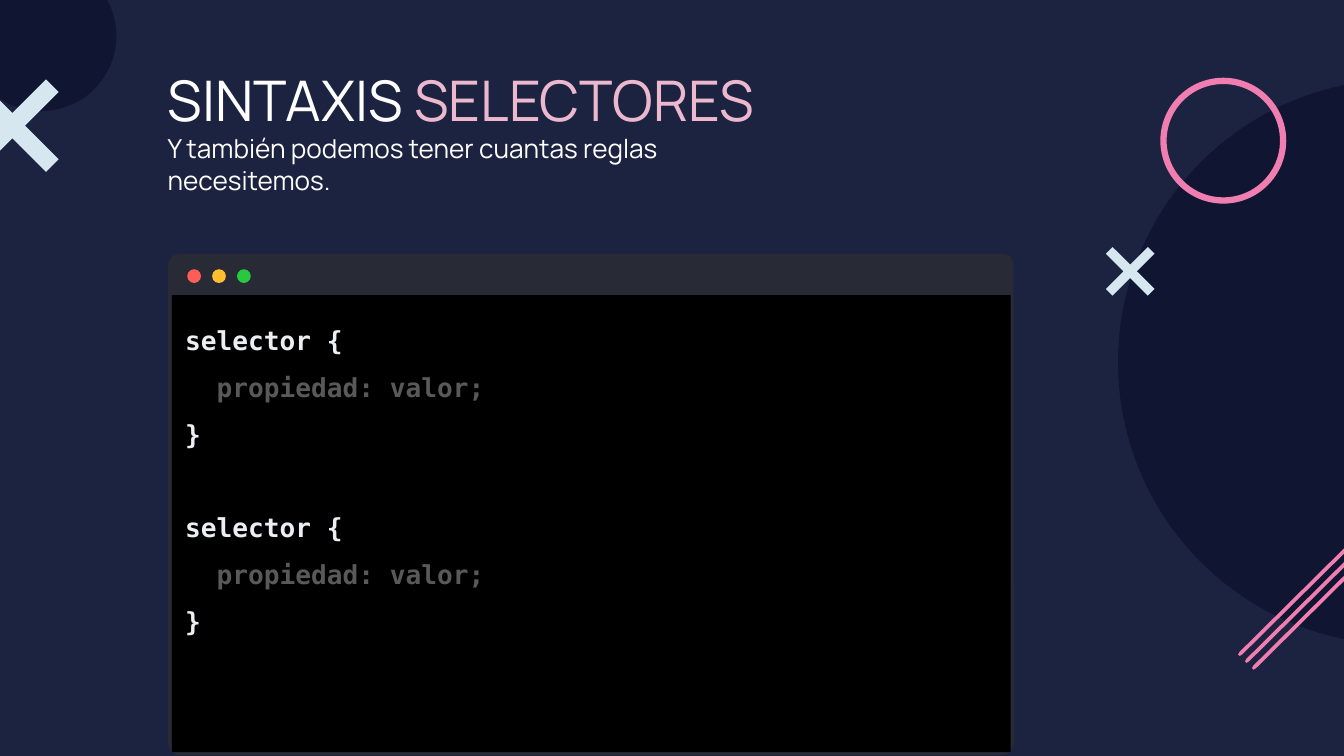
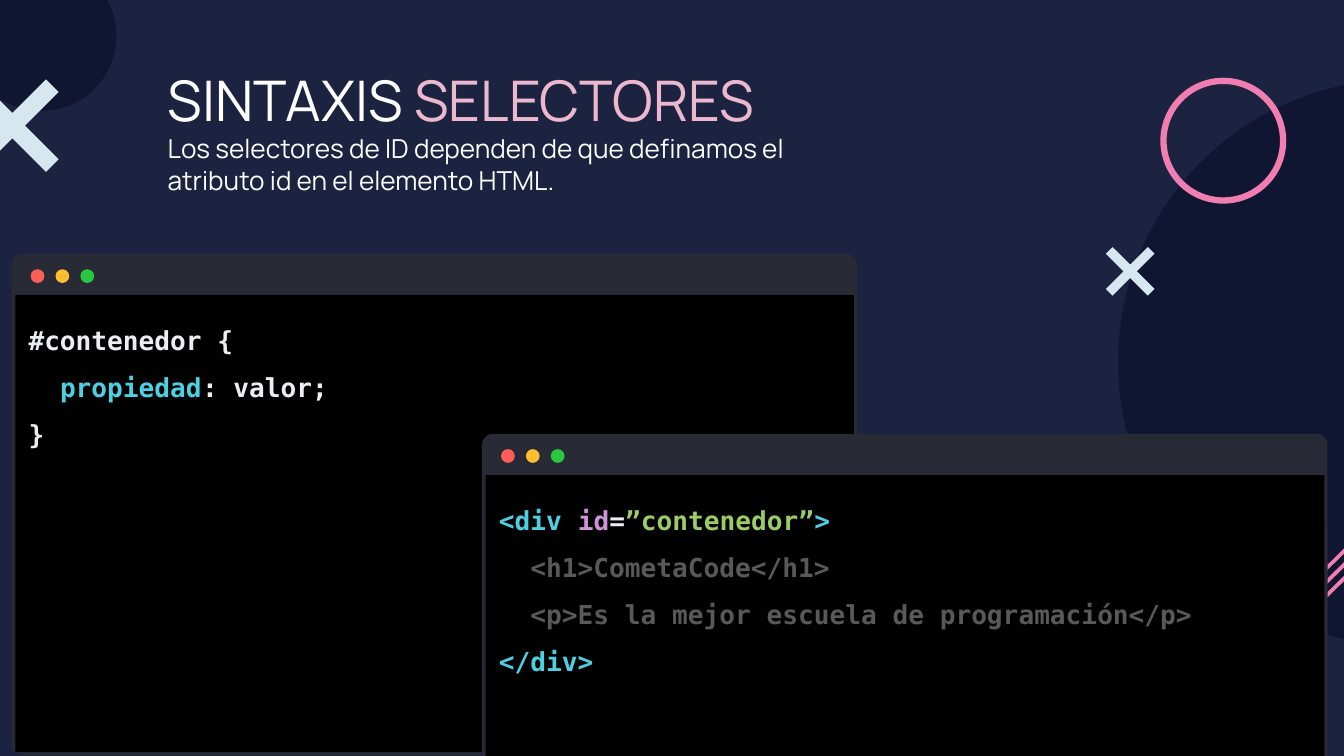
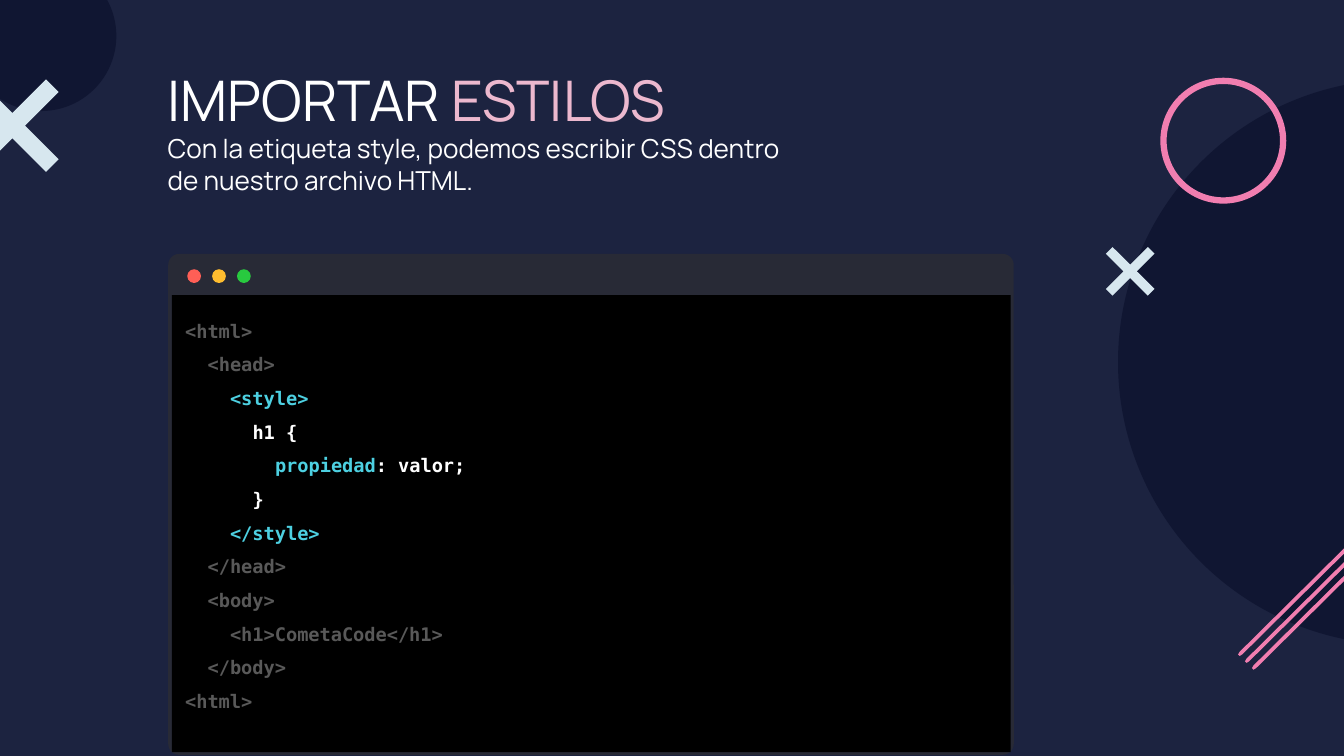
from dataclasses import dataclass

from pptx import Presentation
from pptx.dml.color import RGBColor
from pptx.enum.shapes import MSO_SHAPE as Preset
from pptx.enum.text import MSO_ANCHOR as Anchor, PP_ALIGN as Align
from pptx.util import Cm, Pt

NAVY = RGBColor(0x1C, 0x23, 0x40)
DEEP_NAVY = RGBColor(0x10, 0x16, 0x32)
ICE = RGBColor(0xD7, 0xE7, 0xEF)
PINK = RGBColor(0xF1, 0x7E, 0xB0)
ROSE = RGBColor(0xEC, 0xB8, 0xCE)
WHITE = RGBColor(0xFF, 0xFF, 0xFF)
BLACK = RGBColor(0x00, 0x00, 0x00)
FRAME = RGBColor(0x28, 0x2A, 0x36)
BUTTONS = (
    RGBColor(0xFF, 0x5F, 0x56),
    RGBColor(0xFF, 0xBD, 0x2F),
    RGBColor(0x28, 0xC9, 0x3F),
)
LIGHT = RGBColor(0xEC, 0xEF, 0xF1)
GRAY = RGBColor(0x59, 0x59, 0x59)
CYAN = RGBColor(0x4D, 0xD0, 0xE1)
PURPLE = RGBColor(0xCE, 0x93, 0xD8)
GREEN = RGBColor(0x9C, 0xCC, 0x65)

TITLE_FONT = "Manrope"
CODE_FONT = "DejaVu Sans Mono"
CODE_INDENT = 1.204
WINDOW_SIZE = (15.98, 9.47)
CENTER_WINDOW = (3.18, 4.8)
CORNER = 0.022


@dataclass
class Line:
    runs: list
    level: int = 0
    gap: float = 0


def code(text, color, level=0, gap=0):
    return Line([(text, color)], level, gap)


def paint(shape, color):
    shape.fill.solid()
    shape.fill.fore_color.rgb = color
    shape.line.fill.background()
    shape.shadow.inherit = False
    return shape


def add_preset(shapes, preset, left, top, width, height, color):
    shape = shapes.add_shape(preset, Cm(left), Cm(top), Cm(width), Cm(height))
    return paint(shape, color)


def add_polygon(slide, left, top, points, color):
    corners = [(Cm(left + x), Cm(top + y)) for x, y in points]
    builder = slide.shapes.build_freeform(*corners[0])
    builder.add_line_segments(corners[1:], close=True)
    return paint(builder.convert_to_shape(), color)


def add_text_box(slide, left, top, width, height):
    box = slide.shapes.add_textbox(Cm(left), Cm(top), Cm(width), Cm(height))
    frame = box.text_frame
    frame.word_wrap = True
    frame.vertical_anchor = Anchor.TOP
    frame.margin_left = frame.margin_right = Cm(0.25)
    frame.margin_top = frame.margin_bottom = Cm(0.25)
    return box


def write(paragraph, text, *, font, size, color, bold=False):
    run = paragraph.add_run()
    run.text = text
    run.font.name = font
    run.font.size = Pt(size)
    run.font.bold = bold
    run.font.color.rgb = color


def add_title(slide, first, accent, subtitle):
    frame = add_text_box(slide, 2.92, 0.99, 12.34, 2.18).text_frame
    heading = frame.paragraphs[0]
    write(heading, first + " ", font=TITLE_FONT, size=30, color=WHITE)
    write(heading, accent, font=TITLE_FONT, size=30, color=ROSE)
    write(frame.add_paragraph(), subtitle, font=TITLE_FONT, size=14, color=WHITE)


def add_cross(slide, left, top, side):
    half, arm = side / 2, side * 0.137
    near, far = half - arm, half + arm
    points = [
        (arm, 0), (0, arm), (near, half), (0, side - arm),
        (arm, side), (half, far), (side - arm, side), (side, side - arm),
        (far, half), (side, arm), (side - arm, 0), (half, near),
    ]
    add_polygon(slide, left, top, points, ICE)


def add_stripes(slide, left, top):
    width, height, thick, soft = 2.36, 2.34, 0.08, 0.03
    points = [
        (width - thick, soft), (soft, height - thick), (0, height - soft),
        (soft, height), (thick, height - soft), (width - soft, thick),
        (width, soft), (width - soft, 0),
    ]
    for index in range(3):
        shift = index * 0.13
        add_polygon(slide, left + shift, top + shift, points, PINK)


def add_decoration(slide):
    for left, top, diameter in ((-0.64, -0.74, 2.84), (21.13, 1.5, 10.69)):
        add_preset(slide.shapes, Preset.OVAL, left, top, diameter, diameter, DEEP_NAVY)
    add_cross(slide, 20.9, 4.67, 0.92)
    ring = add_preset(slide.shapes, Preset.DONUT, 21.93, 1.47, 2.38, 2.38, PINK)
    ring.adjustments[0] = 0.05
    add_stripes(slide, 23.4, 10.06)
    add_cross(slide, -0.64, 1.5, 1.75)


def add_window(slide, left, top, lines, size=14, backing=False):
    width, height = WINDOW_SIZE
    shapes = slide.shapes.add_group_shape().shapes
    panels = [(0.14, NAVY)] if backing else []
    for margin, color in panels + [(0, FRAME)]:
        panel = add_preset(
            shapes, Preset.ROUNDED_RECTANGLE, left - margin, top - margin,
            width + 2 * margin, height + 2 * margin, color,
        )
        panel.adjustments[0] = CORNER
    for index, color in enumerate(BUTTONS):
        add_preset(
            shapes, Preset.OVAL, left + 0.36 + index * 0.47, top + 0.29,
            0.26, 0.26, color,
        )
    body = add_text_box(slide, left + 0.07, top + 0.78, width - 0.13, height - 0.83)
    paint(body, BLACK)
    add_code(body.text_frame, lines, size)


def add_code(frame, lines, size):
    for index, line in enumerate(lines):
        paragraph = frame.add_paragraph() if index else frame.paragraphs[0]
        paragraph.alignment = Align.LEFT
        paragraph.line_spacing = 1.5
        paragraph.space_before = Pt(line.gap)
        properties = paragraph._p.get_or_add_pPr()
        properties.set("marL", str(int(Pt(line.level * size * CODE_INDENT))))
        properties.set("indent", "0")
        for text, color in line.runs:
            write(paragraph, text, font=CODE_FONT, size=size, color=color, bold=True)


def add_slide(presentation, first, accent, subtitle):
    slide = presentation.slides.add_slide(presentation.slide_layouts[6])
    slide.background.fill.solid()
    slide.background.fill.fore_color.rgb = NAVY
    add_title(slide, first, accent, subtitle)
    add_decoration(slide)
    return slide


def property_line(color, level):
    return Line([("propiedad", CYAN), (": valor;", color)], level)


def add_rules_slide(presentation):
    slide = add_slide(
        presentation, "SINTAXIS", "SELECTORES",
        "Y también podemos tener cuantas reglas necesitemos.",
    )
    lines = []
    for gap in (0, 25):
        lines += [
            code("selector {", LIGHT, gap=gap),
            code("propiedad: valor;", GRAY, 1),
            code("}", LIGHT),
        ]
    add_window(slide, *CENTER_WINDOW, lines)


def add_id_slide(presentation):
    slide = add_slide(
        presentation, "SINTAXIS", "SELECTORES",
        "Los selectores de ID dependen de que definamos el atributo id "
        "en el elemento HTML.",
    )
    style_lines = [
        code("#contenedor {", LIGHT),
        property_line(LIGHT, 1),
        code("}", LIGHT),
    ]
    markup_lines = [
        Line([
            ("<div ", CYAN), ("id", PURPLE), ("=", LIGHT),
            ("”contenedor”", GREEN), (">", CYAN),
        ]),
        code("<h1>CometaCode</h1>", GRAY, 1),
        code("<p>Es la mejor escuela de programación</p>", GRAY, 1),
        code("</div>", CYAN),
    ]
    add_window(slide, 0.22, 4.8, style_lines, backing=True)
    add_window(slide, 9.11, 8.2, markup_lines)


def add_style_slide(presentation):
    slide = add_slide(
        presentation, "IMPORTAR", "ESTILOS",
        "Con la etiqueta style, podemos escribir CSS dentro "
        "de nuestro archivo HTML.",
    )
    lines = [
        code("<html>", GRAY),
        code("<head>", GRAY, 1),
        code("<style>", CYAN, 2),
        code("h1 {", WHITE, 3),
        property_line(WHITE, 4),
        code("}", WHITE, 3),
        code("</style>", CYAN, 2),
        code("</head>", GRAY, 1),
        code("<body>", GRAY, 1),
        code("<h1>CometaCode</h1>", GRAY, 2),
        code("</body>", GRAY, 1),
        code("<html>", GRAY),
    ]
    add_window(slide, *CENTER_WINDOW, lines, size=10)


def main():
    presentation = Presentation()
    presentation.slide_width = Cm(25.4)
    presentation.slide_height = Cm(14.29)
    add_rules_slide(presentation)
    add_id_slide(presentation)
    add_style_slide(presentation)
    presentation.save("out.pptx")


if __name__ == "__main__":
    main()
